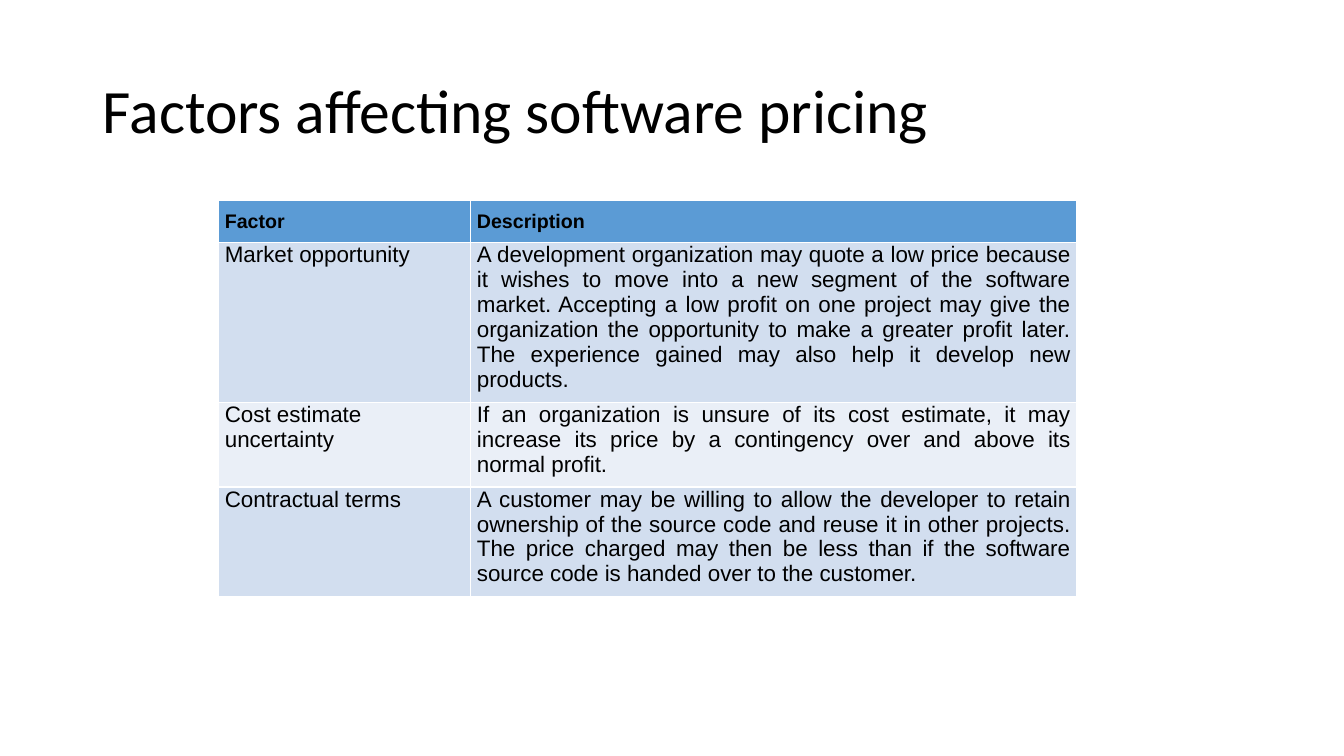
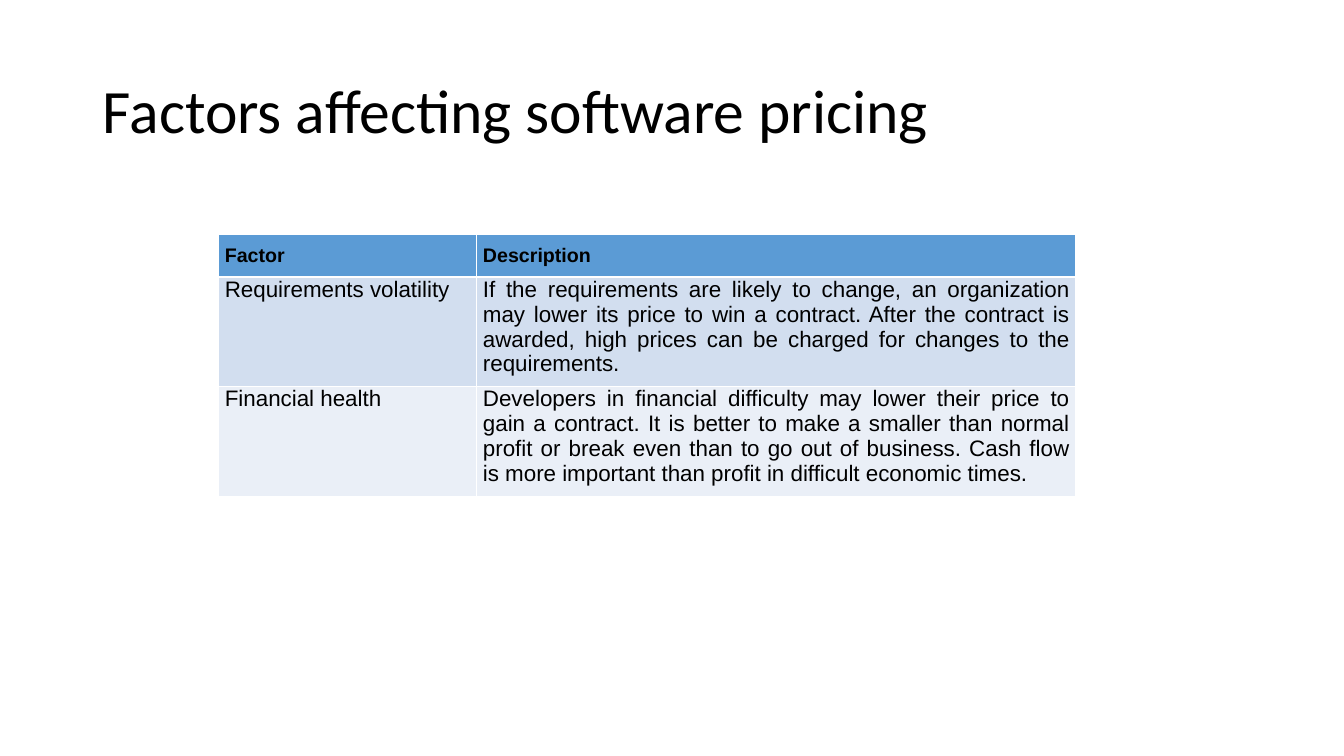
from dataclasses import dataclass

from lxml.etree import SubElement
from pptx import Presentation
from pptx.dml.color import RGBColor
from pptx.enum.text import MSO_ANCHOR, PP_ALIGN
from pptx.oxml.ns import qn
from pptx.util import Inches, Pt

TITLE = "Factors affecting software pricing"
HEADINGS = ("Factor", "Description")
PAGES = [
    {
        "top": 1.99,
        "columns": (2.5, 6.01),
        "factors": [
            ("Market opportunity",
             "A development organization may quote a low price because it wishes to move into a new "
             "segment of the software market. Accepting a low profit on one project may give the "
             "organization the opportunity to make a greater profit later. The experience gained may "
             "also help it develop new products."),
            ("Cost estimate uncertainty",
             "If an organization is unsure of its cost estimate, it may increase its price by a "
             "contingency over and above its normal profit."),
            ("Contractual terms",
             "A customer may be willing to allow the developer to retain ownership of the source code "
             "and reuse it in other projects. The price charged may then be less than if the software "
             "source code is handed over to the customer."),
        ],
    },
    {
        "top": 2.33,
        "columns": (2.56, 5.94),
        "factors": [
            ("Requirements volatility",
             "If the requirements are likely to change, an organization may lower its price to win a "
             "contract. After the contract is awarded, high prices can be charged for changes to the "
             "requirements."),
            ("Financial health",
             "Developers in financial difficulty may lower their price to gain a contract. It is better "
             "to make a smaller than normal profit or break even than to go out of business. Cash flow "
             "is more important than profit in difficult economic times."),
        ],
    },
]


@dataclass(frozen=True)
class Theme:
    title_font: str = "Calibri"
    table_font: str = "Arial"
    title_size: int = 44
    heading_size: int = 14
    body_size: int = 16
    text: str = "000000"
    border: str = "FFFFFF"
    header: str = "5B9BD5"
    bands: tuple = ("D2DEEF", "EAEFF7")


THEME = Theme()
TITLE_BOX = (0.92, 0.4, 11.5, 1.45)
TABLE_LEFT = 2.17
ROW_HEIGHT = 0.41
SIDE_MARGIN = 0.06
END_MARGIN = 0.1


def write(frame, text, *, font, size, bold=False, align=PP_ALIGN.LEFT, spacing=None):
    para = frame.paragraphs[0]
    para.alignment = align
    para.line_spacing = spacing
    span = para.add_run()
    span.text = text
    span.font.name = font
    span.font.size = Pt(size)
    span.font.bold = bold
    span.font.color.rgb = RGBColor.from_string(THEME.text)


def add_borders(cell):
    """Draw the four cell edges; the schema wants them ahead of the fill."""
    properties = cell._tc.get_or_add_tcPr()
    for position, edge in enumerate(("a:lnL", "a:lnR", "a:lnT", "a:lnB")):
        line = SubElement(properties, qn(edge), w=str(Pt(1)))
        fill = SubElement(line, qn("a:solidFill"))
        SubElement(fill, qn("a:srgbClr"), val=THEME.border)
        properties.insert(position, line)


def fill_cell(cell, text, *, color, top_margin, **text_format):
    cell.margin_left = cell.margin_right = Inches(SIDE_MARGIN)
    cell.margin_top = Inches(top_margin)
    cell.margin_bottom = Inches(END_MARGIN)
    cell.fill.solid()
    cell.fill.fore_color.rgb = RGBColor.from_string(color)
    add_borders(cell)
    write(cell.text_frame, text, font=THEME.table_font, **text_format)


def add_title(page):
    title = page.shapes.title
    title.left, title.top, title.width, title.height = map(Inches, TITLE_BOX)
    title.text_frame.vertical_anchor = MSO_ANCHOR.MIDDLE
    write(title.text_frame, TITLE, font=THEME.title_font, size=THEME.title_size, spacing=0.9)


def add_factor_table(page, top, columns, factors):
    rows = [HEADINGS, *factors]
    table = page.shapes.add_table(
        len(rows), len(columns), Inches(TABLE_LEFT), Inches(top),
        Inches(sum(columns)), Inches(ROW_HEIGHT * len(rows))).table
    for column, width in zip(table.columns, columns):
        column.width = Inches(width)
    for column, heading in enumerate(HEADINGS):
        fill_cell(table.cell(0, column), heading, color=THEME.header, top_margin=END_MARGIN,
                  size=THEME.heading_size, bold=True, align=PP_ALIGN.JUSTIFY)
    for row, texts in enumerate(factors, start=1):
        band = THEME.bands[(row - 1) % len(THEME.bands)]
        for column, align in enumerate((PP_ALIGN.LEFT, PP_ALIGN.JUSTIFY)):
            fill_cell(table.cell(row, column), texts[column], color=band, top_margin=0,
                      size=THEME.body_size, align=align)


def main():
    deck = Presentation()
    deck.slide_width, deck.slide_height = Inches(13.33), Inches(7.5)
    title_only = deck.slide_layouts.get_by_name("Title Only")
    for content in PAGES:
        page = deck.slides.add_slide(title_only)
        add_title(page)
        add_factor_table(page, **content)
    deck.save("out.pptx")


if __name__ == "__main__":
    main()
